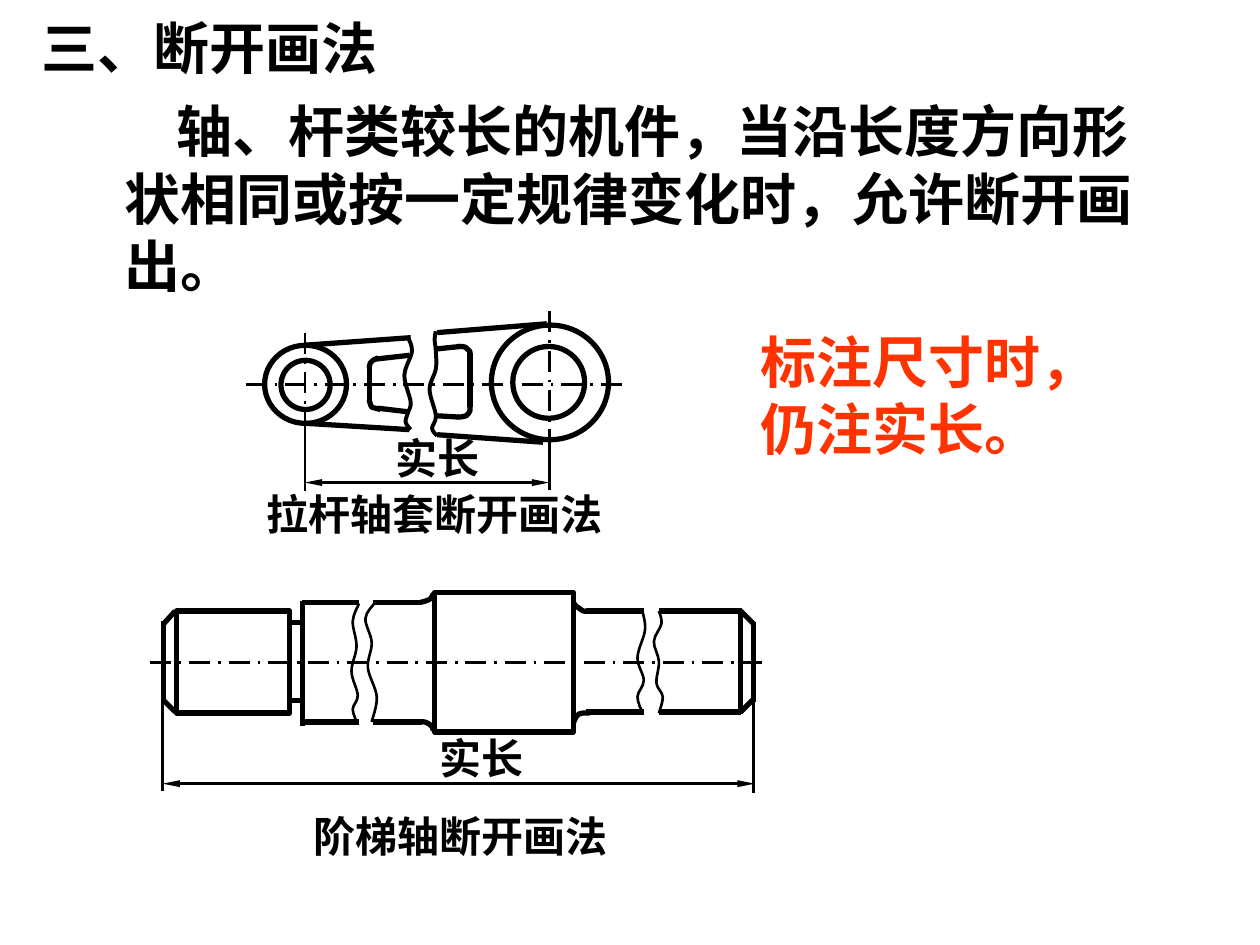
from dataclasses import dataclass

from lxml import etree
from pptx import Presentation
from pptx.dml.color import RGBColor
from pptx.enum.dml import MSO_LINE
from pptx.enum.shapes import MSO_CONNECTOR, MSO_SHAPE
from pptx.enum.text import MSO_ANCHOR, PP_ALIGN
from pptx.oxml.ns import qn
from pptx.util import Inches, Pt

STRAIGHT = MSO_CONNECTOR.STRAIGHT
OVAL, RECTANGLE = MSO_SHAPE.OVAL, MSO_SHAPE.RECTANGLE
CENTRE_DASH = MSO_LINE.LONG_DASH_DOT
TOP, MIDDLE = MSO_ANCHOR.TOP, MSO_ANCHOR.MIDDLE
LEFT, CENTER = PP_ALIGN.LEFT, PP_ALIGN.CENTER
COLUMNS, ROWS = 1000, 750


@dataclass(frozen=True)
class Theme:
    ink: RGBColor = RGBColor(0x00, 0x00, 0x00)
    accent: RGBColor = RGBColor(0xFF, 0x33, 0x00)
    heading_font: str = "Noto Sans CJK SC"
    label_font: str = "Times New Roman"
    heading_size: int = 32
    label_size: int = 24
    thin: float = 1.5
    medium: float = 2.25
    thick: float = 3


THEME = Theme()


def grid(cells):
    """Length of a number of grid cells; the slide is COLUMNS cells wide."""
    return round(Inches(10) * cells / COLUMNS)


def style_line(shape, weight):
    shape.line.color.rgb = THEME.ink
    shape.line.width = Pt(weight)


def add_line(shapes, ends, weight, dash=None):
    connector = shapes.add_connector(STRAIGHT, *map(grid, ends))
    style_line(connector, weight)
    if dash:
        connector.line.dash_style = dash
    etree.SubElement(connector._element.spPr, qn("a:effectLst"))
    return connector


def add_lines(shapes, lines, weight=THEME.thick):
    for ends in lines:
        add_line(shapes, ends, weight)


def add_dimension(shapes, ends):
    line = add_line(shapes, ends, THEME.thin).line._get_or_add_ln()
    for tag in ("a:headEnd", "a:tailEnd"):
        etree.SubElement(line, qn(tag), type="triangle", w="sm", len="lg")


def style_outline(shape, weight):
    shape.shadow.inherit = False
    shape.fill.background()
    style_line(shape, weight)


def add_outline(shapes, kind, box):
    style_outline(shapes.add_shape(kind, *map(grid, box)), THEME.thick)


def bend_segments(shape):
    """Turn the straight segments of a freeform into smooth Bezier segments."""
    points = [(int(point.get("x")), int(point.get("y")))
              for point in shape._element.iter(qn("a:pt"))]
    padded = [points[0], *points, points[-1]]
    segments = list(shape._element.iter(qn("a:lnTo")))
    for segment, a, b, c, d in zip(segments, padded, padded[1:], padded[2:], padded[3:]):
        first = [q + (r - p) / 6 for p, q, r in zip(a, b, c)]
        second = [q - (r - p) / 6 for p, q, r in zip(b, c, d)]
        bezier = etree.Element(qn("a:cubicBezTo"))
        for x, y in (first, second, c):
            etree.SubElement(bezier, qn("a:pt"), x=str(round(x)), y=str(round(y)))
        segment.getparent().replace(segment, bezier)


def add_freeforms(shapes, outlines, weight=THEME.thick):
    """Open outlines; those with more than two points are curved."""
    for outline in outlines:
        points = [(grid(x), grid(y)) for x, y in outline]
        builder = shapes.build_freeform(*points[0])
        builder.add_line_segments(points[1:], close=False)
        shape = builder.convert_to_shape()
        style_outline(shape, weight)
        if len(points) > 2:
            bend_segments(shape)


def add_text(shapes, box, text, size, font_name, color=THEME.ink, align=LEFT,
             anchor=MIDDLE, wrap=True, indent=0):
    frame = shapes.add_textbox(*map(grid, box)).text_frame
    frame.word_wrap = wrap
    frame.vertical_anchor = anchor
    paragraph = frame.paragraphs[0]
    paragraph.alignment = align
    if indent:
        paragraph._p.get_or_add_pPr().set("indent", str(grid(indent)))
    run = paragraph.add_run()
    run.text = text
    run.font.size = Pt(size)
    run.font.bold = True
    run.font.color.rgb = color
    run.font.name = font_name
    etree.SubElement(run._r.get_or_add_rPr(), qn("a:ea"), typeface=THEME.heading_font)


def add_heading(shapes, box, text, **options):
    add_text(shapes, box, text, THEME.heading_size, THEME.heading_font, **options)


def add_label(shapes, box, text, **options):
    add_text(shapes, box, text, THEME.label_size, THEME.label_font, **options)


def add_true_length(shapes, extensions, dimension, label_box):
    """Extension lines, dimension arrow and its label."""
    add_lines(shapes, extensions, THEME.thin)
    add_dimension(shapes, dimension)
    add_label(shapes, label_box, "实长", align=CENTER)


def draw_link_rod(shapes):
    add_label(shapes, (202, 383, 290, 50), "拉杆轴套断开画法", wrap=False)
    for box in ((223, 286, 39, 39), (390, 258, 93, 91),
                (407, 275, 57, 57), (210, 274, 65, 62)):
        add_outline(shapes, OVAL, box)
    for ends in ((195, 305, 499, 305), (436, 247, 436, 359), (242, 264, 242, 351)):
        add_line(shapes, ends, THEME.thin, CENTRE_DASH)
    add_lines(shapes, [
        (242, 274, 326, 268), (243, 336, 325, 341),
        (347, 264, 434, 257), (347, 345, 431, 351),
        (298, 285, 325, 282), (300, 324, 325, 327), (293, 290, 293, 319),
        (346, 277, 365, 275), (347, 330, 364, 331), (373, 280, 373, 323)])
    add_freeforms(shapes, [
        [(300, 284), (296, 286), (294, 288), (293, 292)],
        [(293, 317), (294, 321), (295, 323), (298, 324), (302, 325)],
        [(363, 275), (367, 275), (370, 276), (371, 277), (373, 279), (373, 281)],
        [(363, 331), (365, 331), (370, 330), (372, 328), (373, 326), (373, 322)]])
    add_freeforms(shapes, [
        [(324, 268), (327, 279), (321, 298), (326, 319),
         (324, 327), (322, 335), (326, 341)],
        [(346, 263), (345, 269), (346, 279), (346, 293), (341, 309),
         (346, 330), (343, 340), (347, 346)]], THEME.medium)


def draw_stepped_shaft(shapes):
    add_line(shapes, (119, 526, 610, 526), THEME.thin, CENTRE_DASH)
    for box in ((140, 485, 90, 81), (345, 470, 110, 111)):
        add_outline(shapes, RECTANGLE, box)
    mirrored = {(230, 240): (494, 556), (240, 285): (478, 573),
                (296, 335): (478, 573), (465, 511): (485, 565),
                (523, 588): (485, 565)}
    add_lines(shapes, [(start, y, end, y)
                       for (start, end), rows in mirrored.items() for y in rows])
    add_lines(shapes, [(130, 558, 130, 493), (240, 477, 240, 576),
                       (588, 484, 588, 567), (598, 557, 598, 494)])
    chamfers = [[(139, 485), (130, 495)], [(139, 565), (130, 556)],
                [(587, 484), (598, 495)], [(588, 565), (598, 555)]]
    fillets = [[(334, 478), (338, 477), (342, 475), (344, 471)],
               [(332, 573), (337, 573), (341, 575), (343, 577), (344, 580)],
               [(466, 485), (463, 485), (460, 483), (457, 481), (455, 478)],
               [(468, 566), (462, 566), (458, 568), (455, 574)]]
    add_freeforms(shapes, chamfers + fillets)
    add_label(shapes, (239, 638, 253, 50), "阶梯轴断开画法", align=CENTER, wrap=False)
    add_freeforms(shapes, [
        [(285, 479), (280, 493), (283, 513), (279, 533),
         (284, 552), (280, 563), (284, 575)],
        [(297, 479), (290, 491), (295, 510), (292, 530), (299, 553), (295, 573)],
        [(510, 485), (512, 500), (506, 522), (511, 540), (506, 553), (510, 566)],
        [(523, 485), (525, 495), (519, 509), (523, 525),
         (521, 542), (526, 553), (523, 566)]], THEME.thin)


def main():
    presentation = Presentation()
    presentation.slide_width, presentation.slide_height = grid(COLUMNS), grid(ROWS)
    shapes = presentation.slides.add_slide(presentation.slide_layouts[6]).shapes
    add_true_length(shapes.add_group_shape().shapes,
                    [(242, 338, 242, 390), (436, 349, 436, 389)],
                    (242, 383, 436, 383), (294, 338, 106, 50))
    add_true_length(shapes.add_group_shape().shapes,
                    [(129, 555, 129, 628), (598, 556, 598, 629)],
                    (129, 622, 599, 622), (323, 576, 118, 50))
    add_heading(shapes, (23, 6, 287, 64), "三、断开画法", anchor=TOP, wrap=False)
    add_heading(shapes, (89, 72, 839, 170),
                "轴、杆类较长的机件，当沿长度方向形状相同或按一定规律变化时，允许断开画出。",
                indent=41)
    add_heading(shapes, (594, 255, 301, 117), "标注尺寸时，仍注实长。", color=THEME.accent)
    draw_link_rod(shapes.add_group_shape().shapes)
    draw_stepped_shaft(shapes.add_group_shape().shapes)
    presentation.save("out.pptx")


if __name__ == "__main__":
    main()
